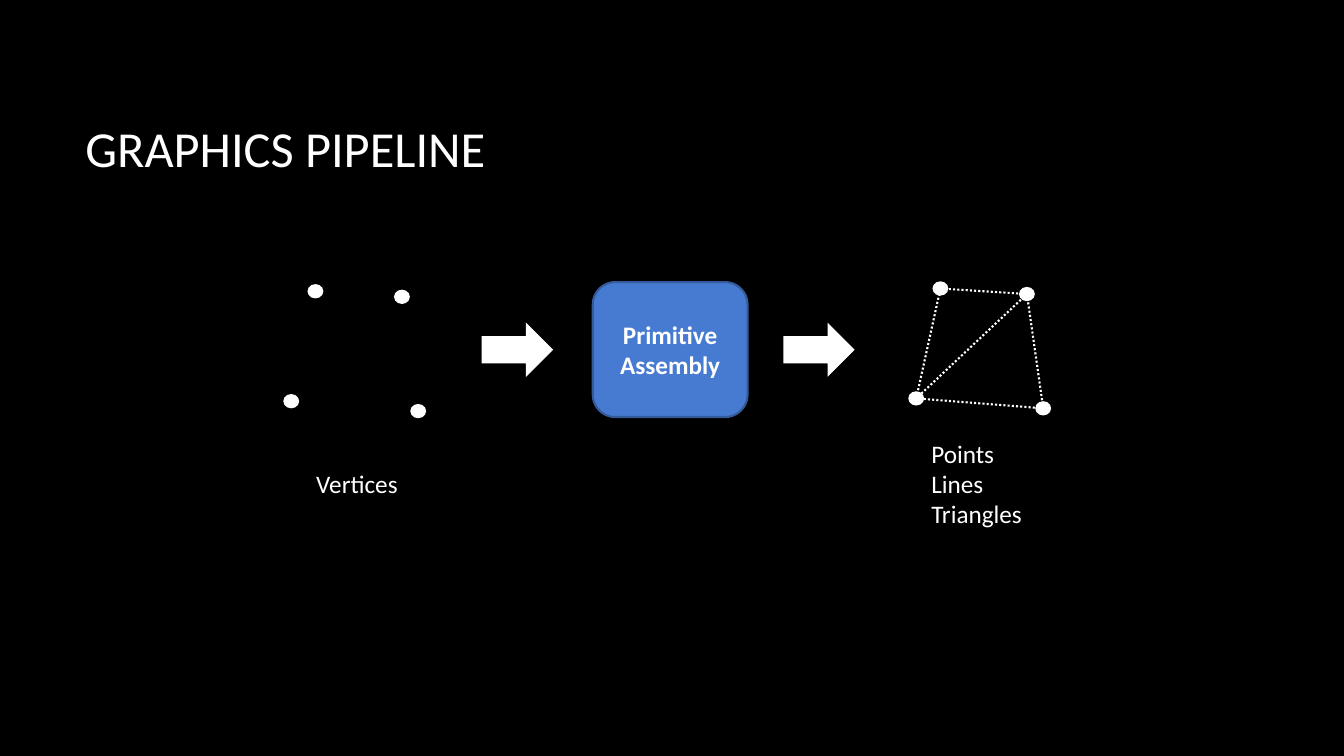
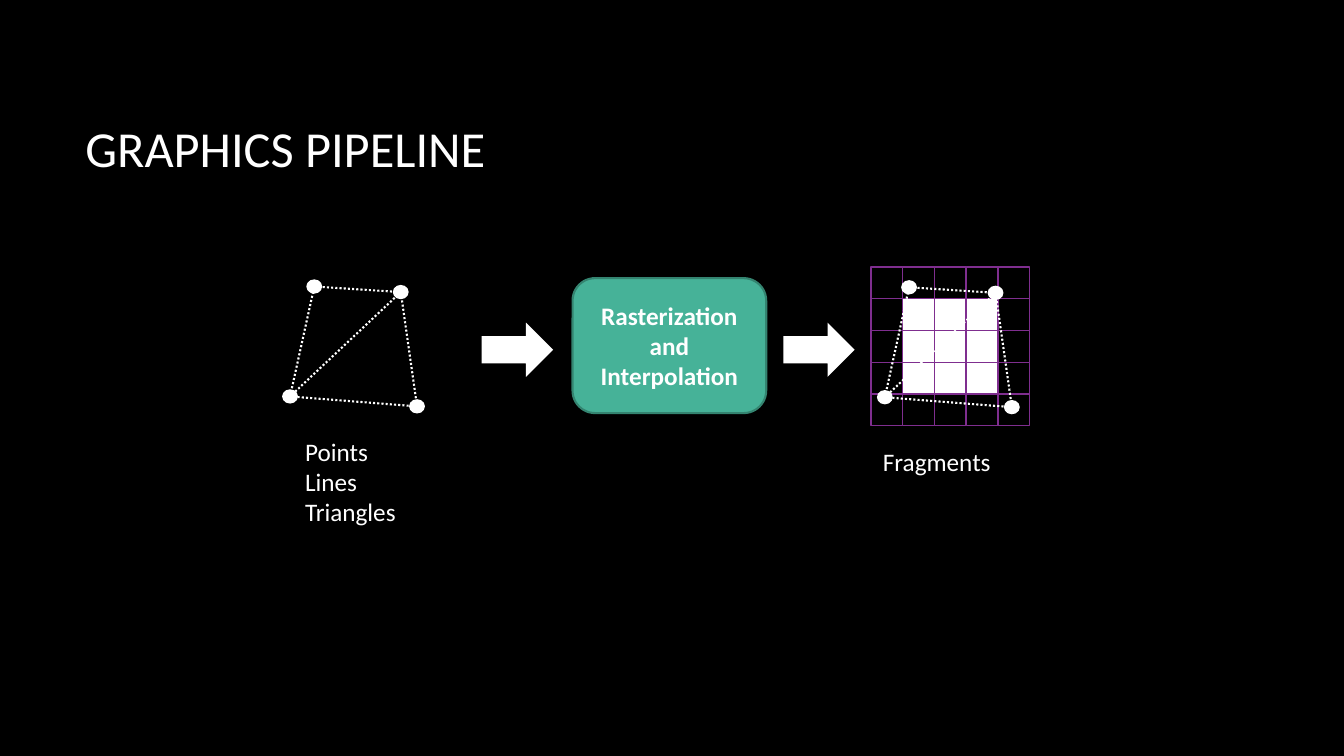
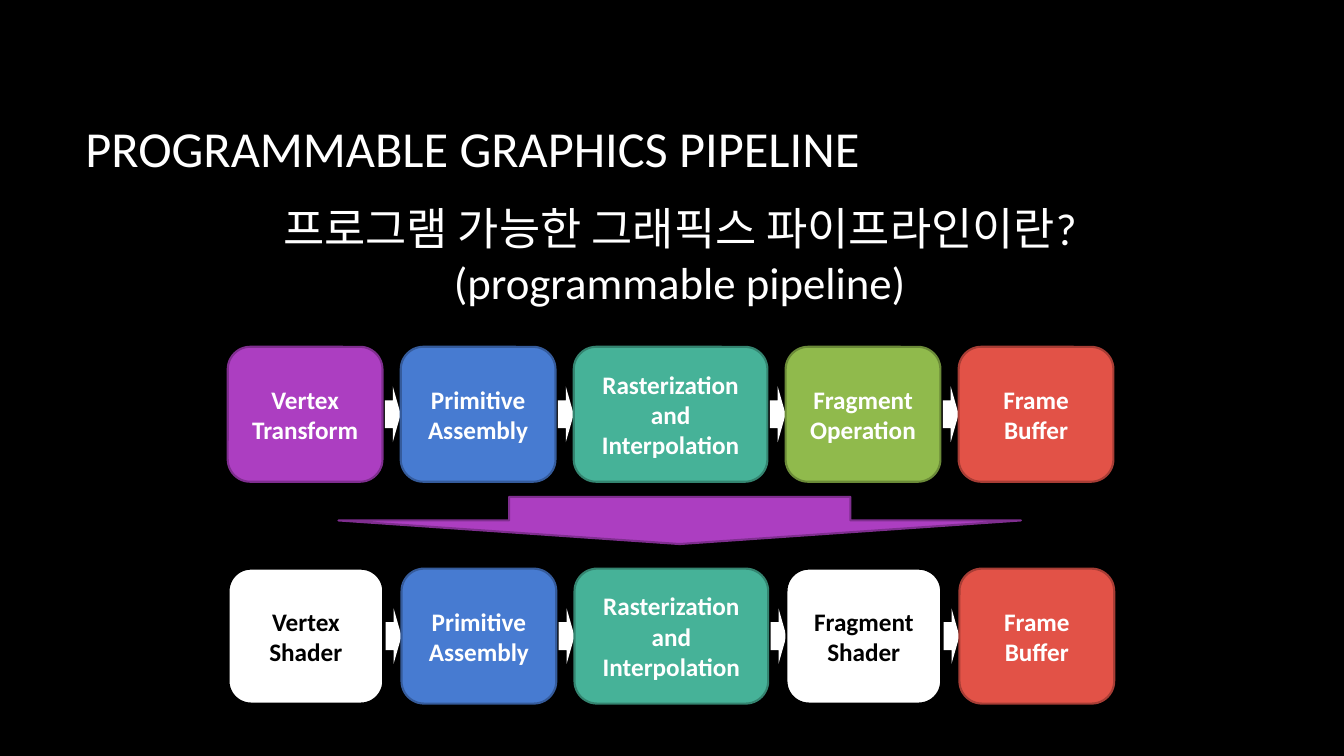
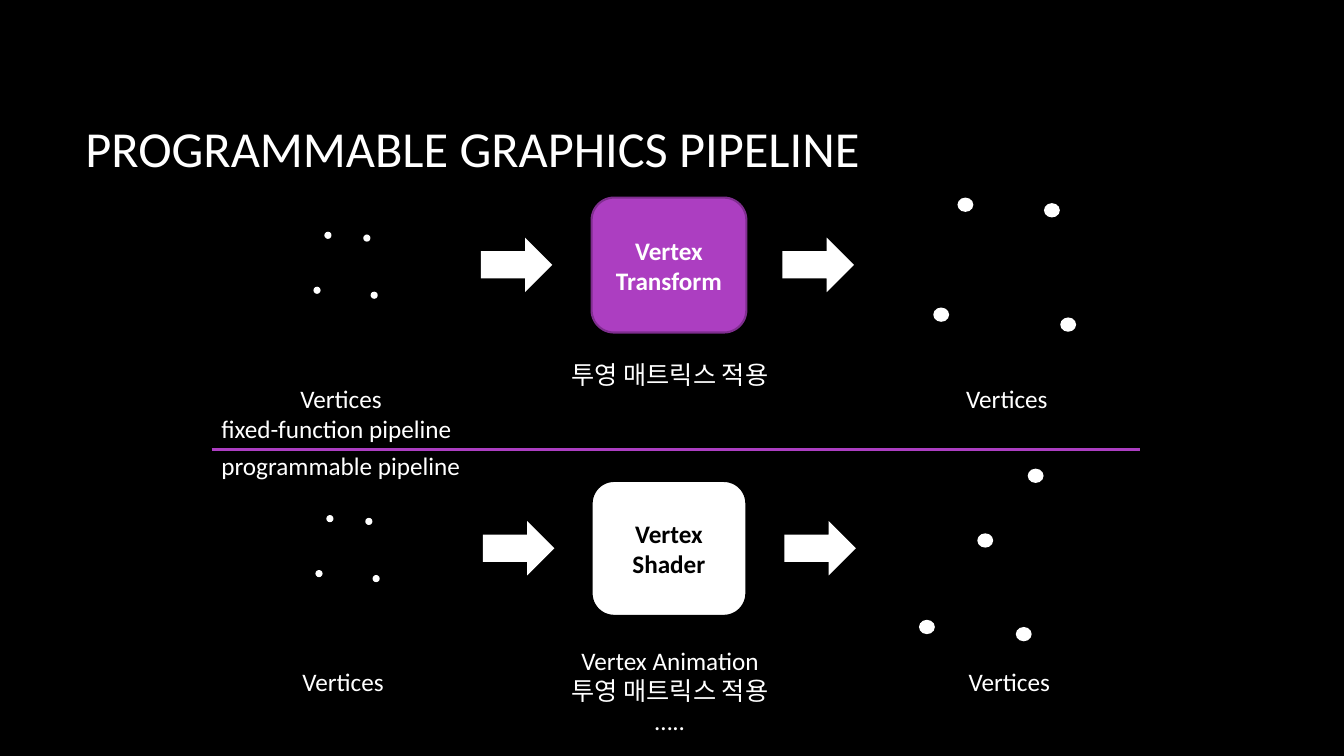
from lxml import etree
from pptx import Presentation
from pptx.dml.color import RGBColor
from pptx.enum.dml import MSO_LINE
from pptx.enum.shapes import MSO_CONNECTOR, MSO_SHAPE
from pptx.enum.text import MSO_ANCHOR, MSO_AUTO_SIZE, PP_ALIGN
from pptx.oxml.ns import qn
from pptx.util import Cm, Pt

DOT = MSO_SHAPE.FLOWCHART_CONNECTOR
ROUNDED = MSO_SHAPE.ROUNDED_RECTANGLE
RECTANGLE = MSO_SHAPE.RECTANGLE
RIGHT_ARROW = MSO_SHAPE.RIGHT_ARROW
DOWN_ARROW = MSO_SHAPE.DOWN_ARROW
STRAIGHT = MSO_CONNECTOR.STRAIGHT
DOTTED = MSO_LINE.ROUND_DOT
LEFT, CENTER = PP_ALIGN.LEFT, PP_ALIGN.CENTER
MIDDLE = MSO_ANCHOR.MIDDLE
NO_AUTOFIT = MSO_AUTO_SIZE.NONE

FONT = "Calibri"
BLACK, WHITE = "000000", "FFFFFF"
PURPLE, DARK_PURPLE = "AC3EC1", "7F2E8F"
color = RGBColor.from_string

# Fill and outline of each pipeline stage
STAGES = {
    "Vertex Transform": (PURPLE, DARK_PURPLE),
    "Primitive Assembly": ("477BD1", "355B9B"),
    "Rasterization and Interpolation": ("46B298", "348470"),
    "Fragment Operation": ("90BA4C", "6B8A38"),
    "Frame Buffer": ("E25247", "A73D35"),
    "Vertex Shader": (WHITE, BLACK),
    "Fragment Shader": (WHITE, BLACK),
}
WIDE_STAGE = "Rasterization and Interpolation"
STAGE_HEIGHT = 3.4
DOT_WIDTH, DOT_HEIGHT = 0.4, 0.36


def add_shape(shapes, kind, left, top, width, height, fill, outline=None, outline_width=1.5):
    shape = shapes.add_shape(kind, Cm(left), Cm(top), Cm(width), Cm(height))
    shape.shadow.inherit = False
    shape.fill.solid()
    shape.fill.fore_color.rgb = color(fill)
    if outline:
        shape.line.color.rgb = color(outline)
        shape.line.width = Pt(outline_width)
    else:
        shape.line.fill.background()
    return shape


def add_stage(shapes, name, left, top):
    """Add a labelled pipeline box and return its width in centimetres."""
    fill, outline = STAGES[name]
    width = 4.88 if name == WIDE_STAGE else 3.9
    shape = add_shape(shapes, ROUNDED, left, top, width, STAGE_HEIGHT, fill, outline)
    paragraph = shape.text_frame.paragraphs[0]
    paragraph.text = name
    paragraph.alignment = CENTER
    paragraph.font.name = FONT
    paragraph.font.size = Pt(18)
    paragraph.font.bold = True
    paragraph.font.color.rgb = color(BLACK if fill == WHITE else WHITE)
    return width


presentation = Presentation()
presentation.slide_width, presentation.slide_height = Cm(33.87), Cm(19.05)
background = presentation.slide_master.background.fill
background.solid()
background.fore_color.rgb = color(BLACK)

slides = []
for heading in ["GRAPHICS PIPELINE"] * 2 + ["PROGRAMMABLE GRAPHICS PIPELINE"] * 2:
    slide = presentation.slides.add_slide(presentation.slide_layouts[5])
    title = slide.shapes.title
    title.left, title.top, title.width, title.height = Cm(1.9), Cm(1.7), Cm(28.14), Cm(4.04)
    title.text_frame.auto_size = NO_AUTOFIT
    title.text_frame.vertical_anchor = MIDDLE
    paragraph = title.text_frame.paragraphs[0]
    paragraph.text = heading
    paragraph.alignment = LEFT
    paragraph.font.name = FONT
    paragraph.font.size = Pt(36)
    paragraph.font.color.rgb = color(WHITE)
    slides.append(slide)
assembly, raster, comparison, vertex = slides

# One stage between an input arrow and an output arrow
for slide, name, left, top, arrow_left, arrow_top in [
    (assembly, "Primitive Assembly", 14.94, 7.11, 12.14, 8.13),
    (raster, "Rasterization and Interpolation", 14.43, 7.01, 12.14, 8.13),
    (vertex, "Vertex Transform", 14.91, 4.98, 12.12, 5.99),
    (vertex, "Vertex Shader", 14.91, 12.12, 12.17, 13.13),
]:
    add_stage(slide.shapes, name, left, top)
    for step in (0, 7.6):
        add_shape(slide.shapes, RIGHT_ARROW, arrow_left + step, arrow_top, 1.8, 1.37, WHITE)

# Pixel grid with the covered fragments in white
CELL = 0.8
for row in range(5):
    for column in range(5):
        covered = 1 <= row <= 3 and 1 <= column <= 3
        add_shape(raster.shapes, RECTANGLE, 21.95 + column * CELL, 6.73 + row * CELL,
                  CELL, CELL, WHITE if covered else BLACK, DARK_PURPLE, 1)

# Vertex clusters; lines are gathered as (slide, start, end, colour, width, dash)
QUAD = [(0.61, 0), (0, 2.77), (3.2, 3.02), (2.79, 0.14)]
ANIMATED = [(1.47, 1.63), (0, 3.81), (2.44, 3.99), (2.74, 0)]
EDGES = [(1, 0), (0, 3), (3, 2), (2, 1), (3, 1)]
FULL, SMALL = (1, 1), (0.45, 0.5)
lines = [(vertex, (5.33, 11.33), (28.73, 11.33), PURPLE, 2.25, None)]
for slide, left, top, corners, (scale_x, scale_y), joined in [
    (assembly, 7.14, 7.16, QUAD, FULL, False),
    (assembly, 22.89, 7.09, QUAD, FULL, True),
    (raster, 7.11, 7.04, QUAD, FULL, True),
    (raster, 22.1, 7.06, QUAD, FULL, True),
    (vertex, 7.9, 5.84, QUAD, SMALL, False),
    (vertex, 23.52, 4.98, QUAD, FULL, False),
    (vertex, 7.95, 12.98, QUAD, SMALL, False),
    (vertex, 23.16, 11.81, ANIMATED, FULL, False),
]:
    width, height = DOT_WIDTH * scale_x, DOT_HEIGHT * scale_y
    dots = [(left + x * scale_x, top + y * scale_y) for x, y in corners]
    for x, y in dots:
        add_shape(slide.shapes, DOT, x, y, width, height, WHITE)
    if joined:
        centers = [(x + width / 2, y + height / 2) for x, y in dots]
        lines += [(slide, centers[a], centers[b], WHITE, 1.5, DOTTED) for a, b in EDGES]

for slide, start, end, line_color, width, dash in lines:
    connector = slide.shapes.add_connector(STRAIGHT, *map(Cm, start + end))
    connector.line.color.rgb = color(line_color)
    connector.line.width = Pt(width)
    connector.line.dash_style = dash
    etree.SubElement(connector.element.spPr, qn("a:effectLst"))

# Fixed pipeline above, programmable pipeline below
GAP, ARROW_WIDTH, ARROW_HEIGHT = 0.46, 0.4, 1.4
for row_left, top, first, fourth in [
    (5.74, 8.74, "Vertex Transform", "Fragment Operation"),
    (5.76, 14.33, "Vertex Shader", "Fragment Shader"),
]:
    group = comparison.shapes.add_group_shape()
    left = row_left
    for name in [first, "Primitive Assembly", WIDE_STAGE, fourth, "Frame Buffer"]:
        if left > row_left:
            add_shape(group.shapes, RIGHT_ARROW, left - ARROW_WIDTH,
                      top + (STAGE_HEIGHT - ARROW_HEIGHT) / 2, ARROW_WIDTH, ARROW_HEIGHT, WHITE)
        left += add_stage(group.shapes, name, left, top) + GAP
add_shape(comparison.shapes, DOWN_ARROW, 8.53, 12.52, 17.2, 1.19, PURPLE, DARK_PURPLE)

PRIMITIVES = ["Points", "Lines", "Triangles"]
for slide, left, top, width, texts, alignment, size in [
    (assembly, 7.72, 11.68, 3, ["Vertices"], LEFT, 18),
    (assembly, 23.22, 10.92, 3.86, PRIMITIVES, LEFT, 18),
    (raster, 7.44, 10.87, 3.86, PRIMITIVES, LEFT, 18),
    (raster, 22, 11.13, 3.86, ["Fragments"], LEFT, 18),
    (comparison, 4.93, 4.93, 24.41,
     ["프로그램 가능한 그래픽스 파이프라인이란?", "(programmable pipeline)"], CENTER, 32),
    (vertex, 7.32, 9.53, 3, ["Vertices"], LEFT, 18),
    (vertex, 24.1, 9.53, 3, ["Vertices"], LEFT, 18),
    (vertex, 7.37, 16.66, 3, ["Vertices"], LEFT, 18),
    (vertex, 24.16, 16.66, 3, ["Vertices"], LEFT, 18),
    (vertex, 13.34, 8.92, 7.09, ["투영 매트릭스 적용"], CENTER, 18),
    (vertex, 13.34, 16.13, 7.09, ["Vertex Animation", "투영 매트릭스 적용", "….."], CENTER, 18),
    (vertex, 5.33, 10.29, 7.06, ["fixed-function pipeline"], LEFT, 18),
    (vertex, 5.33, 11.23, 7.32, ["programmable pipeline"], LEFT, 18),
]:
    height = 0.25 + len(texts) * size * 0.043
    text_box = slide.shapes.add_textbox(Cm(left), Cm(top), Cm(width), Cm(height))
    text_frame = text_box.text_frame
    text_frame.word_wrap = True
    text_frame.text = "\n".join(texts)
    for paragraph in text_frame.paragraphs:
        paragraph.alignment = alignment
        paragraph.font.name = FONT
        paragraph.font.size = Pt(size)
        paragraph.font.color.rgb = color(WHITE)

presentation.save("out.pptx")
